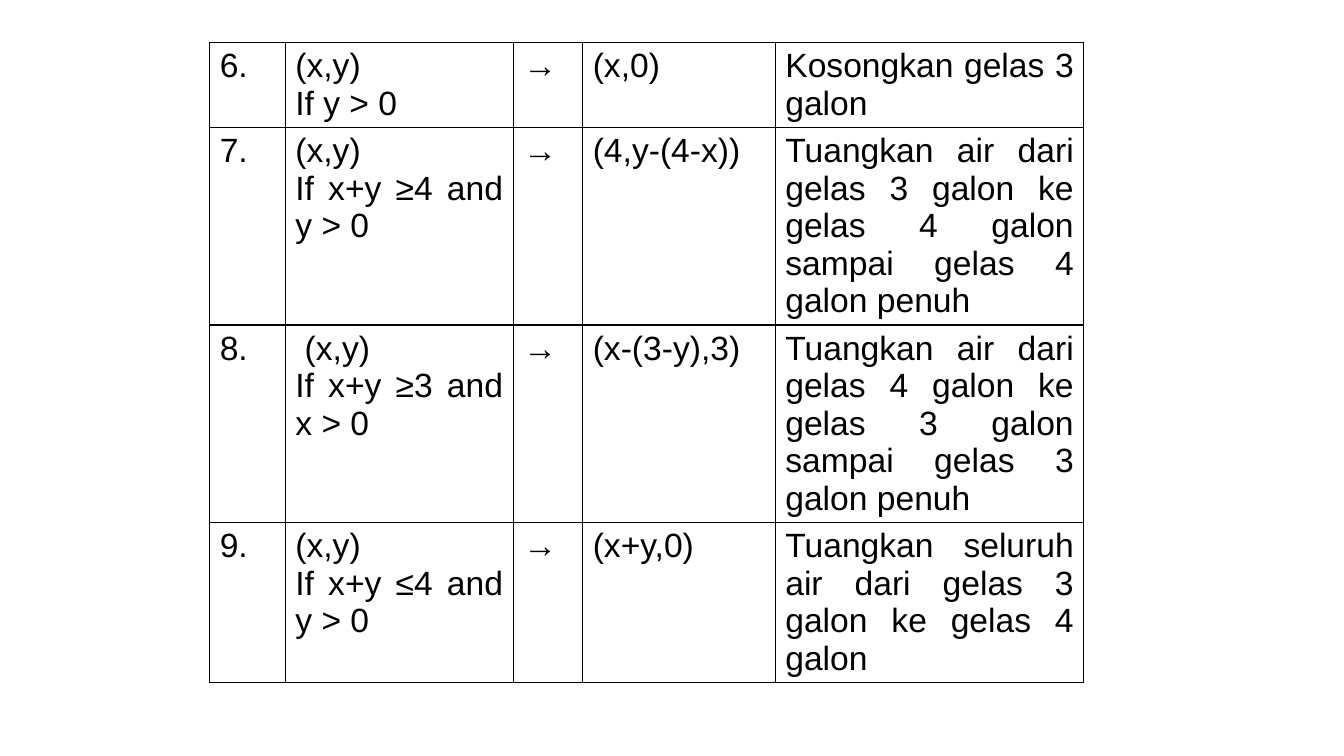
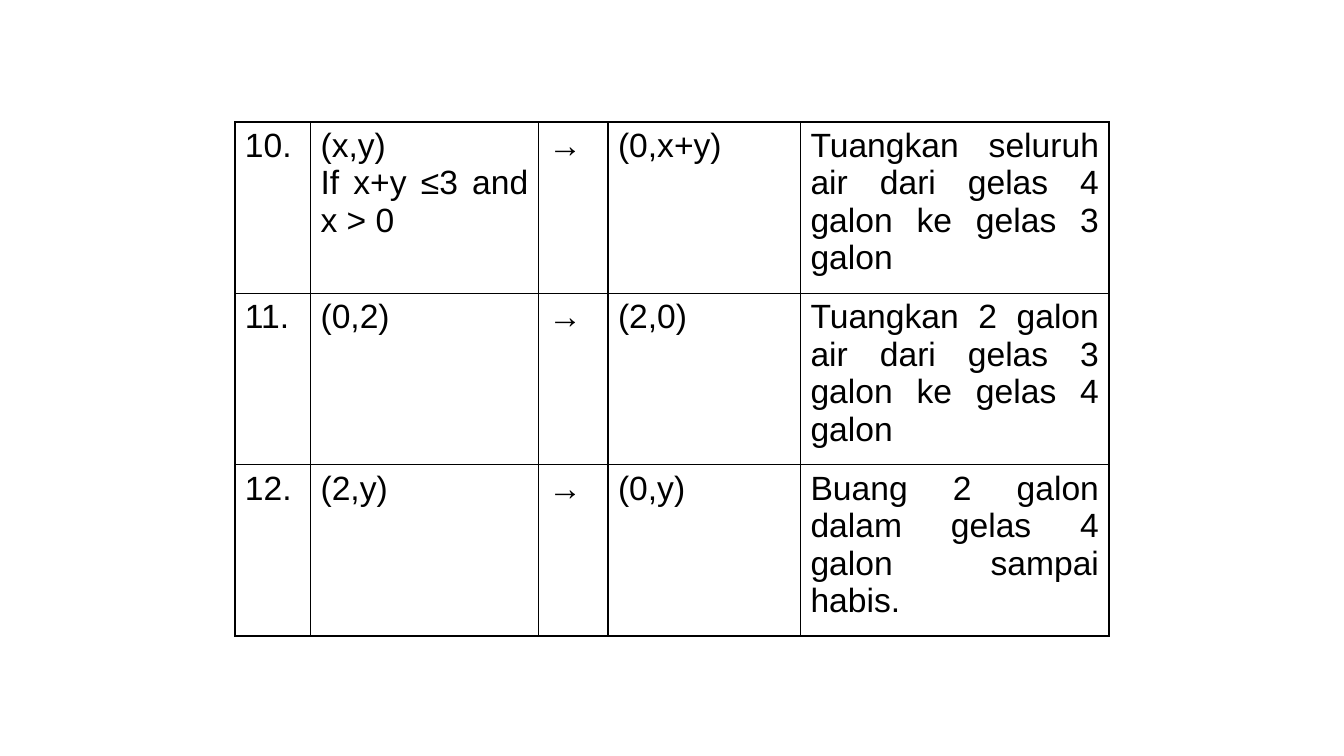
import pptx
import pptx.util
import pptx.dml.color
import pptx.enum.text
import pptx.oxml
import pptx.oxml.ns
from dataclasses import dataclass

PX = 9144  # EMU per px, 100 px to the inch


@dataclass(frozen=True)
class Theme:
    ink: str = "000000"
    paper: str = "FFFFFF"
    font: str = "Arial"
    text_pt: int = 24
    border_pt: int = 1


THEME = Theme()
SLIDE_SIZE = (1333, 750)
COLUMNS = (75, 226, 69, 191, 306)  # number, state, arrow, result, action

# Rules: number, state lines, result, action
RULES_6_TO_9 = [
    ("6.", ("(x,y)", "If y > 0"), "(x,0)", "Kosongkan gelas 3 galon"),
    ("7.", ("(x,y)", "If x+y ≥4 and y > 0"), "(4,y-(4-x))",
     "Tuangkan air dari gelas 3 galon ke gelas 4 galon sampai gelas 4 galon penuh"),
    ("8.", (" (x,y)", "If x+y ≥3 and x > 0"), "(x-(3-y),3)",
     "Tuangkan air dari gelas 4 galon ke gelas 3 galon sampai gelas 3 galon penuh"),
    ("9.", ("(x,y)", "If x+y ≤4 and y > 0"), "(x+y,0)",
     "Tuangkan seluruh air dari gelas 3 galon ke gelas 4 galon"),
]
RULES_10_TO_12 = [
    ("10.", ("(x,y)", "If x+y ≤3 and x > 0"), "(0,x+y)",
     "Tuangkan seluruh air dari gelas 4 galon ke gelas 3 galon"),
    ("11.", ("(0,2)",), "(2,0)",
     "Tuangkan 2 galon air dari gelas 3 galon ke gelas 4 galon"),
    ("12.", ("(2,y)",), "(0,y)",
     "Buang 2 galon dalam gelas 4 galon sampai habis."),
]


def px(n):
    return pptx.util.Emu(n * PX)


def rgb(color):
    return pptx.dml.color.RGBColor.from_string(color)


def add_slide(prs):
    s = prs.slides.add_slide(prs.slide_layouts[6])
    s.background.fill.solid()
    s.background.fill.fore_color.rgb = rgb(THEME.paper)
    return s


def set_borders(cell):
    # Border lines come before the fill in the cell properties
    tc_pr = cell._tc.get_or_add_tcPr()
    width = pptx.util.Pt(THEME.border_pt)
    for i, side in enumerate("LRTB"):
        tc_pr.insert(i, pptx.oxml.parse_xml(
            f'<a:ln{side} {pptx.oxml.ns.nsdecls("a")} w="{width}"><a:solidFill>'
            f'<a:srgbClr val="{THEME.ink}"/></a:solidFill></a:ln{side}>'))


def fill_cell(cell, lines):
    cell.fill.background()
    set_borders(cell)
    tf = cell.text_frame
    for i, line in enumerate(lines):
        p = tf.paragraphs[0] if i == 0 else tf.add_paragraph()
        p.alignment = pptx.enum.text.PP_ALIGN.JUSTIFY
        r = p.add_run()
        r.text = line
        r.font.name = THEME.font
        r.font.size = pptx.util.Pt(THEME.text_pt)
        r.font.color.rgb = rgb(THEME.ink)


def add_rule_table(s, left, top, heights, rules):
    frame = s.shapes.add_table(len(rules), len(COLUMNS), px(left), px(top),
                               px(sum(COLUMNS)), px(sum(heights)))
    table = frame.table
    table.first_row = False
    table.horz_banding = False
    for column, width in zip(table.columns, COLUMNS):
        column.width = px(width)
    for row, height, (number, state, result, action) in zip(table.rows, heights, rules):
        row.height = px(height)
        texts = ((number,), state, ("→",), (result,), (action,))
        for cell, lines in zip(row.cells, texts):
            fill_cell(cell, lines)


def main():
    prs = pptx.Presentation()
    prs.slide_width, prs.slide_height = map(px, SLIDE_SIZE)

    # Rules 6 to 9
    add_rule_table(add_slide(prs), 208, 42, (84, 196, 196, 159), RULES_6_TO_9)

    # Rules 10 to 12
    add_rule_table(add_slide(prs), 233, 121, (170,) * 3, RULES_10_TO_12)

    prs.save("out.pptx")


if __name__ == "__main__":
    main()
